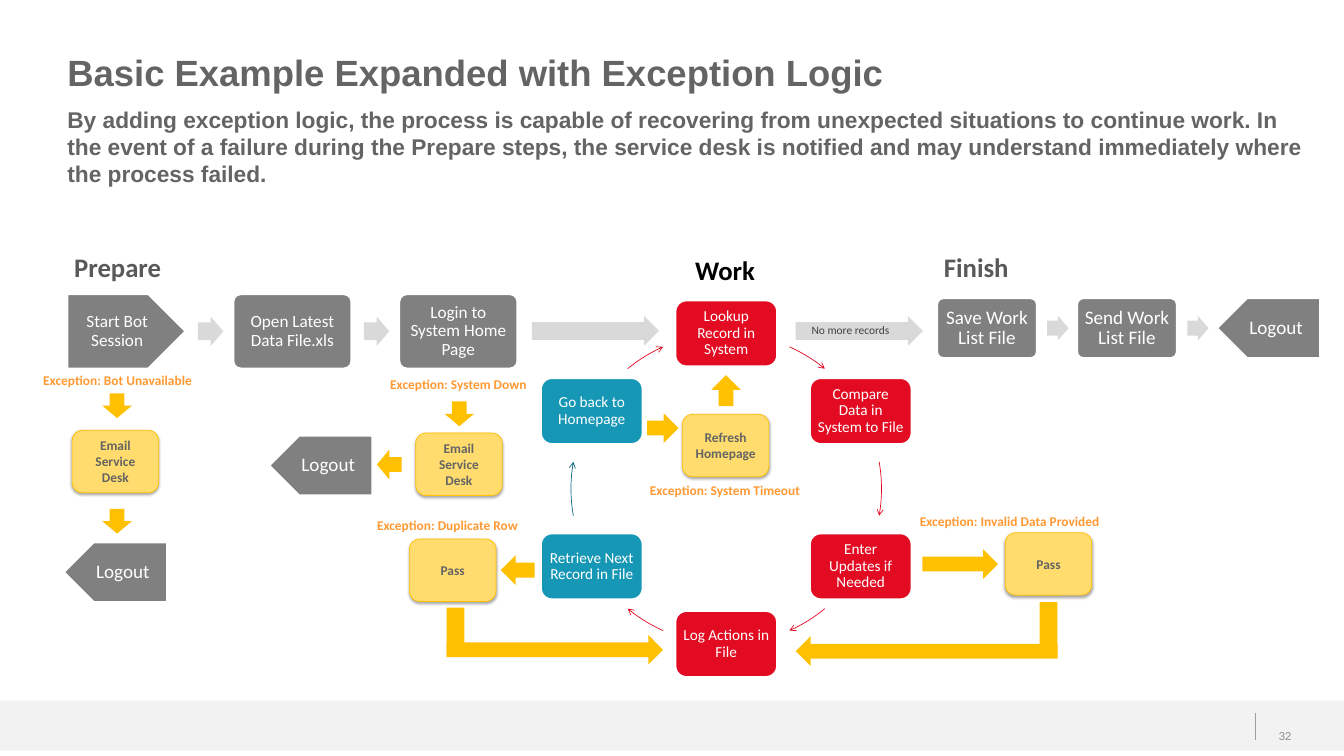
import math

from lxml import etree
from pptx import Presentation
from pptx.dml.color import RGBColor
from pptx.enum.shapes import MSO_CONNECTOR, MSO_SHAPE
from pptx.enum.text import MSO_ANCHOR, MSO_AUTO_SIZE, PP_ALIGN
from pptx.oxml.ns import qn
from pptx.util import Pt

LEFT, CENTER = PP_ALIGN.LEFT, PP_ALIGN.CENTER
TOP, MIDDLE = MSO_ANCHOR.TOP, MSO_ANCHOR.MIDDLE
RECTANGLE, ROUNDED = MSO_SHAPE.RECTANGLE, MSO_SHAPE.ROUNDED_RECTANGLE
PENTAGON = MSO_SHAPE.PENTAGON
ARROWS = {"right": MSO_SHAPE.RIGHT_ARROW, "left": MSO_SHAPE.LEFT_ARROW,
          "up": MSO_SHAPE.UP_ARROW, "down": MSO_SHAPE.DOWN_ARROW}

COLORS = {
    "white": "FFFFFF", "black": "000000", "text": "646464", "heading": "595959",
    "step": "808080", "flow": "D9D9D9", "flow_text": "404040",
    "red": "E20B22", "teal": "1697B5", "dark_teal": "0B687F",
    "amber": "FFC000", "pale_amber": "FFDC6D", "orange": "FF9933",
    "band": "F2F2F2", "rule": "9B9D98", "number": "8C8C8C",
}
ARROW = 31  # breadth of the arrowheads
RECOVERY_SIZE = (90.7, 65.5)
LOGOUT_SIZE = (108, 62.6)


def color(name):
    return RGBColor.from_string(COLORS[name])


def write_text(shape, text, size=14, font="Calibri", fill="white", bold=False,
               align=CENTER, anchor=MIDDLE, inset=(7.2, 3.6, 7.2, 3.6),
               spacing=1, wrap=True, fit=False):
    frame = shape.text_frame
    frame.word_wrap = wrap
    frame.auto_size = MSO_AUTO_SIZE.SHAPE_TO_FIT_TEXT if fit else MSO_AUTO_SIZE.NONE
    frame.vertical_anchor = anchor
    (frame.margin_left, frame.margin_top,
     frame.margin_right, frame.margin_bottom) = map(Pt, inset)
    frame.text = text
    for paragraph in frame.paragraphs:
        paragraph.alignment = align
        paragraph.line_spacing = spacing
        paragraph.space_before = Pt(0)
        paragraph.font.name = font
        paragraph.font.size = Pt(size)
        paragraph.font.bold = bold
        paragraph.font.color.rgb = color(fill)


def add_text(slide, left, top, width, height, text, **style):
    shape = slide.shapes.add_textbox(Pt(left), Pt(top), Pt(width), Pt(height))
    write_text(shape, text, **style)


def add_label(slide, left, top, width, text, size=14, fill="orange"):
    add_text(slide, left, top, width, size * 1.22 + 7.2, text, size=size, fill=fill,
             bold=True, align=LEFT, anchor=TOP, wrap=False, fit=True)


def add_block(slide, kind, left, top, width, height, fill, line=None, weight=2, adjust=()):
    shape = slide.shapes.add_shape(kind, Pt(left), Pt(top), Pt(width), Pt(height))
    shape.shadow.inherit = False
    shape.fill.solid()
    shape.fill.fore_color.rgb = color(fill)
    if line:
        shape.line.color.rgb = color(line)
        shape.line.width = Pt(weight)
    else:
        shape.line.fill.background()
    for index, value in enumerate(adjust):
        shape.adjustments[index] = value
    return shape


def add_step(slide, kind, left, top, width, height, text, size, fill="step",
             adjust=(), flip=False):
    shape = add_block(slide, kind, left, top, width, height, fill, "white", adjust=adjust)
    if flip:
        shape.element.spPr.find(qn("a:xfrm")).set("flipH", "1")
    write_text(shape, text, size=size, inset=(0.3 * size,) * 4, spacing=0.9)


def add_logout(slide, left, top):
    add_step(slide, PENTAGON, left, top, *LOGOUT_SIZE, "Logout", 20, flip=True)


def add_flow_arrow(slide, left, top, width, height):
    return add_block(slide, ARROWS["right"], left, top, width, height, "flow", adjust=(0.6, 0.5))


def add_arrow(slide, direction, left, top, length):
    upright = direction in ("up", "down")
    width, height = (ARROW, length) if upright else (length, ARROW)
    add_block(slide, ARROWS[direction], left, top, width, height, "amber")


def add_stem(slide, left, top):
    add_block(slide, RECTANGLE, left, top, 18.7, 51.1, "amber")


def add_recovery(slide, left, top, text):
    shape = add_block(slide, ROUNDED, left, top, *RECOVERY_SIZE, "pale_amber", "amber", 0.75)
    effects = shape.element.spPr.find(qn("a:effectLst"))
    shadow = etree.SubElement(effects, qn("a:outerShdw"), blurRad=str(Pt(3.1)),
                              dist=str(Pt(1.8)), dir="5400000", rotWithShape="0")
    shade = etree.SubElement(shadow, qn("a:srgbClr"), val=COLORS["black"])
    etree.SubElement(shade, qn("a:alpha"), val="35000")
    write_text(shape, text, fill="text", bold=True)


def add_arc(slide, center_x, center_y, radius, start, end, line):
    """Arrow along a circle; angles run clockwise from the top."""
    pieces = 12
    angles = [math.radians(start + (end - start) * i / pieces) for i in range(pieces + 1)]
    points = [(Pt(center_x + radius * math.sin(a)), Pt(center_y - radius * math.cos(a)))
              for a in angles]
    builder = slide.shapes.build_freeform(*points[0])
    builder.add_line_segments(points[1:], close=False)
    shape = builder.convert_to_shape()
    shape.shadow.inherit = False
    shape.fill.background()
    shape.line.color.rgb = color(line)
    shape.line.width = Pt(0.75)
    etree.SubElement(shape.line._get_or_add_ln(), qn("a:tailEnd"), type="arrow")


def build_header(slide, left, top):
    title = slide.shapes.title
    title.left, title.top, title.width, title.height = Pt(left), Pt(top), Pt(1267), Pt(62)
    write_text(title, "Basic Example Expanded with Exception Logic", size=38.2, font="Arial",
               fill="text", bold=True, align=LEFT, anchor=TOP, inset=(0, 0, 7.2, 0))
    add_text(slide, left, top + 58, 1307.5, 101.5,
             "By adding exception logic, the process is capable of recovering from unexpected "
             "situations to continue work. In the event of a failure during the Prepare steps, "
             "the service desk is notified and may understand immediately where the process "
             "failed.", size=23.8, font="Arial", fill="text", bold=True, align=LEFT,
             anchor=TOP, inset=(0, 0, 0, 0))


def build_footer(slide, left, top, width):
    add_block(slide, RECTANGLE, left, top, width, 52.6, "band")
    rule_x = Pt(left + 1315.4)
    rule = slide.shapes.add_connector(MSO_CONNECTOR.STRAIGHT, rule_x, Pt(top + 13.7),
                                      rule_x, Pt(top + 41.8))
    rule.line.color.rgb = color("rule")
    rule.line.width = Pt(1)
    etree.SubElement(rule.element.spPr, qn("a:effectLst"))
    add_text(slide, left + 1315.4, top + 16.5, 62.6, 42.5, "32", size=11.9, font="Arial",
             fill="number")


def build_row(slide, left, top, width, height, pitch, arrow_size, size, steps):
    """Evenly spaced steps with a small arrow in each gap."""
    arrow_width, arrow_height = arrow_size
    for index, (kind, text) in enumerate(steps):
        x = left + index * pitch
        if text == "Logout":
            add_logout(slide, x, top)
        else:
            adjust = (0.1,) if kind == ROUNDED else ()
            add_step(slide, kind, x, top, width, height, text, size, adjust=adjust)
        if index < len(steps) - 1:
            add_flow_arrow(slide, x + 1.105 * width, top + (height - arrow_height) / 2,
                           arrow_width, arrow_height)


def build_prepare(slide, left, top):
    add_label(slide, left, top, 106.6, "Prepare", 28, "heading")
    build_row(slide, left, top + 49, 123.8, 77.8, 173.9, (26.6, ARROW), 18,
              [(PENTAGON, "Start Bot Session"), (ROUNDED, "Open Latest Data File.xls"),
               (ROUNDED, "Login to System Home Page")])


def build_finish(slide, left, top):
    add_label(slide, left, top, 82.8, "Finish", 28, "heading")
    build_row(slide, left, top + 53.3, 104.4, 62.6, 146.7, (22.3, 25.9), 20,
              [(ROUNDED, "Save Work List File"), (ROUNDED, "Send Work List File"),
               (PENTAGON, "Logout")])


def build_work(slide, left, top):
    # Six steps around a circle
    center_x, center_y, radius = left + 203.7, top + 249.2, 162.7
    width, height = 106.6, 69.1
    steps = [("Lookup Record in System", "red", (24, 39.4), "red"),
             ("Compare Data in System to File", "red", (80, 100), "red"),
             ("Enter Updates if Needed", "red", (140.6, 156), "red"),
             ("Log Actions in File", "red", (204, 219.4), "red"),
             ("Retrieve Next Record in File", "teal", (260, 280), "dark_teal"),
             ("Go back to Homepage", "teal", (320.6, 336), "red")]
    for index, (text, fill, span, line) in enumerate(steps):
        angle = math.radians(60 * index)
        add_step(slide, ROUNDED, center_x + radius * math.sin(angle) - width / 2,
                 center_y - radius * math.cos(angle) - height / 2, width, height, text, 16, fill)
        add_arc(slide, center_x, center_y, radius, *span, line)
    add_label(slide, left + 164.1, top, 77.8, "Work", 28, "black")
    # Flow in and out of the loop
    add_flow_arrow(slide, left, top + 68.4, 133.2, ARROW)
    way_out = add_flow_arrow(slide, left + 276.5, top + 68.4, 133.2, ARROW)
    write_text(way_out, "No more records", size=12, fill="flow_text", inset=(0, 0, 9, 0),
               spacing=0.9)


def build_bot_unavailable(slide, left, top):
    add_label(slide, left, top, 171.4, "Exception: Bot Unavailable")
    add_arrow(slide, "down", left + 69, top + 26, 26)
    add_recovery(slide, left + 37.4, top + 64.8, "Email Service Desk")
    add_arrow(slide, "down", left + 69, top + 147, 26)
    add_logout(slide, left + 28.8, top + 182.2)


def build_system_down(slide, left, top):
    add_label(slide, left + 119.6, top, 158.4, "Exception: System Down")
    add_arrow(slide, "down", left + 183.6, top + 30.3, 26)
    add_recovery(slide, left + 153.4, top + 63.4, "Email Service Desk")
    add_arrow(slide, "left", left + 112.7, top + 81, 26)
    add_logout(slide, left, top + 66.3)


def build_system_timeout(slide, left, top):
    add_arrow(slide, "up", left + 71.3, top, 32.4)
    add_recovery(slide, left + 41, top + 41, "Refresh\nHomepage")
    add_arrow(slide, "right", left + 4, top + 40, 33)
    add_label(slide, left, top + 108.7, 172.8, "Exception: System Timeout")


def build_duplicate_row(slide, left, top):
    add_label(slide, left, top, 163.4, "Exception: Duplicate Row")
    add_recovery(slide, left + 41, top + 26, "Pass")
    add_arrow(slide, "left", left + 136.8, top + 43.2, 35.3)
    add_arrow(slide, "right", left + 80, top + 126.7, 226.8)
    add_stem(slide, left + 80, top + 98)


def build_invalid_data(slide, left, top):
    add_label(slide, left + 123, top, 204.5, "Exception: Invalid Data Provided")
    add_recovery(slide, left + 219.6, top + 24.5, "Pass")
    add_arrow(slide, "right", left + 132.8, top + 42, 79.2)
    add_arrow(slide, "left", left, top + 133.2, 274.3)
    add_stem(slide, left + 255.6, top + 97.2)


def main():
    presentation = Presentation()
    presentation.slide_width, presentation.slide_height = Pt(1408.32), Pt(792)
    slide = presentation.slides.add_slide(presentation.slide_layouts[5])
    build_footer(slide, 0, 733.7, 1408.32)
    build_header(slide, 70.6, 52.6)
    # Main flow
    build_work(slide, 557.3, 262.8)
    build_prepare(slide, 70.6, 259.2)
    build_finish(slide, 982, 259.2)
    # Exception branches
    build_bot_unavailable(slide, 38.2, 386)
    build_system_down(slide, 282.2, 390.2)
    build_system_timeout(slide, 674, 393)
    build_duplicate_row(slide, 388, 538.6)
    build_invalid_data(slide, 833.8, 533.5)
    presentation.save("out.pptx")


if __name__ == "__main__":
    main()
